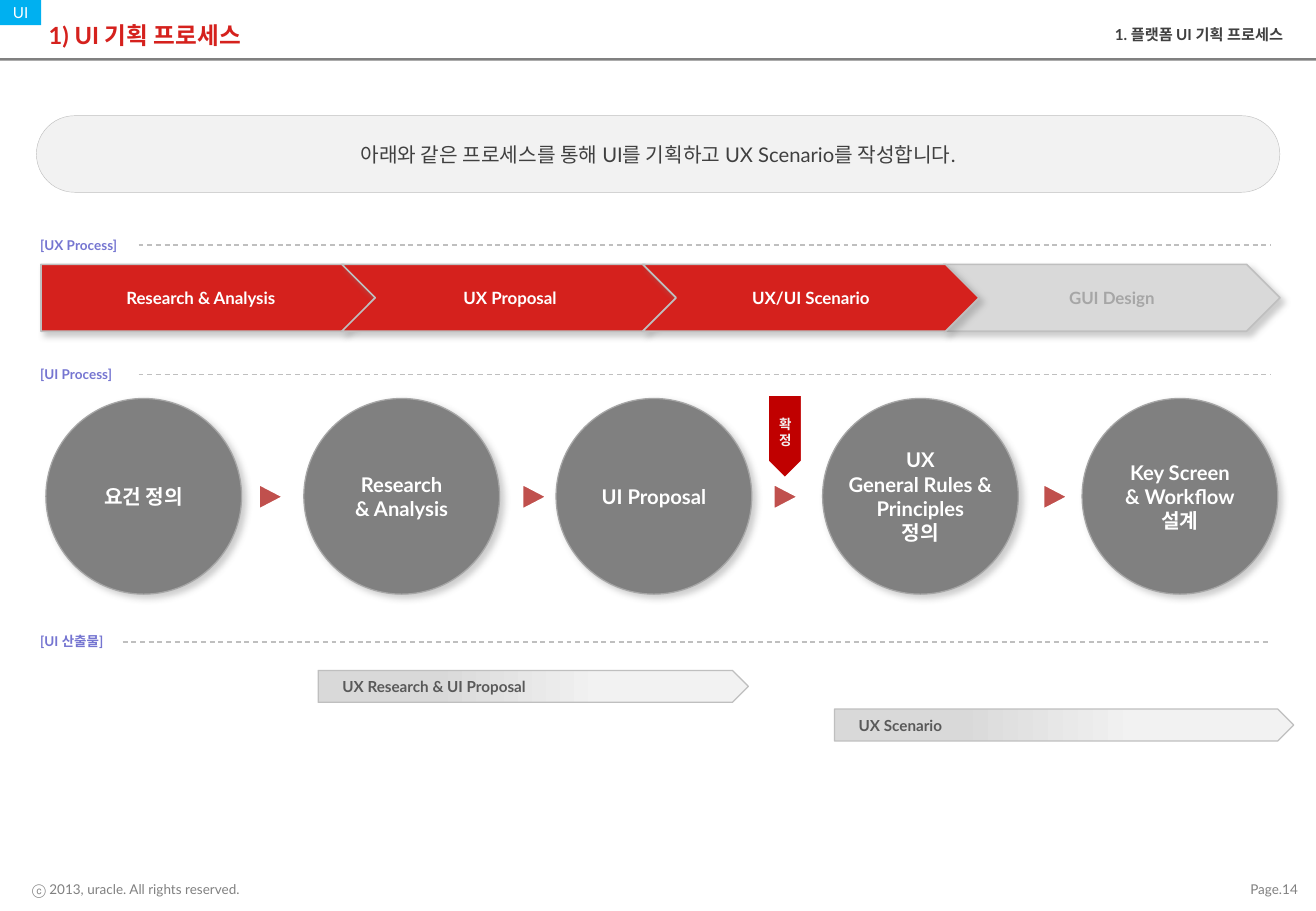
from pptx import Presentation
from pptx.dml.color import RGBColor
from pptx.enum.dml import MSO_LINE
from pptx.enum.shapes import MSO_CONNECTOR, MSO_SHAPE
from pptx.enum.text import MSO_ANCHOR, PP_ALIGN
from pptx.oxml.ns import qn
from pptx.util import Pt
from lxml import etree

RECTANGLE, PILL = MSO_SHAPE.RECTANGLE, MSO_SHAPE.ROUNDED_RECTANGLE
OVAL, TRIANGLE = MSO_SHAPE.OVAL, MSO_SHAPE.ISOSCELES_TRIANGLE
PENTAGON, CHEVRON = MSO_SHAPE.PENTAGON, MSO_SHAPE.CHEVRON
STRAIGHT, DASH = MSO_CONNECTOR.STRAIGHT, MSO_LINE.DASH
LEFT, CENTER, RIGHT = PP_ALIGN.LEFT, PP_ALIGN.CENTER, PP_ALIGN.RIGHT
TOP, MIDDLE = MSO_ANCHOR.TOP, MSO_ANCHOR.MIDDLE

FONT = "Lato"
WHITE = RGBColor(0xFF, 0xFF, 0xFF)
PALE = RGBColor(0xF2, 0xF2, 0xF2)
LIGHT = RGBColor(0xD9, 0xD9, 0xD9)
SILVER = RGBColor(0xBF, 0xBF, 0xBF)
MUTED = RGBColor(0xA6, 0xA6, 0xA6)
GRAY = RGBColor(0x80, 0x80, 0x80)
DIM = RGBColor(0x59, 0x59, 0x59)
DARK = RGBColor(0x40, 0x40, 0x40)
RED = RGBColor(0xD5, 0x21, 0x1D)
DEEP_RED = RGBColor(0xC0, 0x00, 0x00)
BRICK = RGBColor(0xC0, 0x50, 0x4D)
BLUE = RGBColor(0x00, 0xB0, 0xF0)
VIOLET = RGBColor(0x75, 0x75, 0xD1)


def write(shape, lines, size, color, bold=True, align=CENTER, anchor=MIDDLE,
          margins=(7.2, 3.6, 7.2, 3.6), wrap=True):
    """Fill a shape with one paragraph for each line."""
    frame = shape.text_frame
    frame.word_wrap = wrap
    frame.vertical_anchor = anchor
    (frame.margin_left, frame.margin_top,
     frame.margin_right, frame.margin_bottom) = map(Pt, margins)
    for index, line in enumerate(lines):
        para = frame.add_paragraph() if index else frame.paragraphs[0]
        para.alignment = align
        span = para.add_run()
        span.text = line
        span.font.name = FONT
        span.font.size = Pt(size)
        span.font.bold = bold
        span.font.color.rgb = color


def add_text(page, box, line, size, color, **style):
    write(page.shapes.add_textbox(*map(Pt, box)), [line], size, color, **style)


def add_figure(page, kind, box, fill=None, line=None, width=0.75):
    figure = page.shapes.add_shape(kind, *map(Pt, box))
    figure.shadow.inherit = False
    if fill is not None:
        figure.fill.solid()
        figure.fill.fore_color.rgb = fill
    if line is None:
        figure.line.fill.background()
    else:
        figure.line.color.rgb = line
        figure.line.width = Pt(width)
    return figure


def cast_shadow(figure):
    effects = figure._element.spPr.find(qn("a:effectLst"))
    shadow = etree.SubElement(effects, qn("a:outerShdw"), blurRad=str(Pt(4)),
                              dist=str(Pt(3)), dir="2700000", algn="tl", rotWithShape="0")
    color = etree.SubElement(shadow, qn("a:srgbClr"), val=str(GRAY))
    etree.SubElement(color, qn("a:alpha"), val="40000")


def add_header(page, box):
    left, top, width, height = box
    add_figure(page, RECTANGLE, (left, top + height - 1.5, width, 1.5), GRAY)
    badge = add_figure(page, RECTANGLE, (left, top, 24.5, 15), BLUE)
    write(badge, ["UI"], 9, WHITE, bold=False, margins=(0, 0, 0, 0), wrap=False)
    title = page.shapes.title
    title.left, title.top = Pt(left + 21.6), Pt(top + 5.8)
    title.width, title.height = Pt(width - 36), Pt(29.5)
    write(title, ["1) UI 기획 프로세스"], 14, RED, align=LEFT)
    add_text(page, (left + width - 284.5, top + 11.5, 272, 20),
             "1. 플랫폼 UI 기획 프로세스", 9, DARK, align=RIGHT, anchor=TOP)


def add_footer(page, box):
    left, top, width, height = box
    add_text(page, (left + 12, top, 160, height),
             "ⓒ 2013, uracle. All rights reserved.", 8, GRAY, bold=False, align=LEFT)
    add_text(page, (left + width - 63.6, top, 60, height), "Page.14", 8, GRAY,
             bold=False, align=RIGHT)


def add_summary(page, box):
    pill = add_figure(page, PILL, box, PALE, SILVER, 0.25)
    pill.adjustments[0] = 0.5
    write(pill, ["아래와 같은 프로세스를 통해 UI를 기획하고 UX Scenario를 작성합니다."],
          12, DARK, bold=False)


def add_section(page, box, label, label_width, rule_offset):
    """Section label followed by a dashed rule."""
    left, top, width, height = box
    add_text(page, (left, top, label_width, height), label, 8, VIOLET, align=LEFT,
             anchor=TOP, margins=(0, 3.6, 7.2, 3.6))
    middle = Pt(top + height / 2)
    rule = page.shapes.add_connector(STRAIGHT, Pt(left + rule_offset), middle,
                                     Pt(left + width), middle)
    rule.line.color.rgb = SILVER
    rule.line.width = Pt(0.75)
    rule.line.dash_style = DASH
    etree.SubElement(rule._element.spPr, qn("a:effectLst"))


def add_ux_process(page, box):
    left, top, width, height = box
    step_width = 199.4
    pitch = (width - step_width) / 3
    steps = [  # the last step lies beneath its neighbour
        (0, PENTAGON, "Research & Analysis", RED, WHITE),
        (3, CHEVRON, "GUI Design", LIGHT, MUTED),
        (1, CHEVRON, "UX Proposal", RED, WHITE),
        (2, CHEVRON, "UX/UI Scenario", RED, WHITE),
    ]
    for slot, kind, name, fill, ink in steps:
        step = add_figure(page, kind, (left + slot * pitch, top, step_width, height),
                          fill, SILVER, 1)
        cast_shadow(step)
        write(step, [name], 10, ink, wrap=False)


def add_ui_process(page, box):
    left, top, width, height = box
    stages = [
        (0, ["요건 정의"]),
        (152.9, ["Research", "& Analysis"]),
        (302.4, ["UI Proposal"]),
        (460.4, ["UX", "General Rules &", "Principles", "정의"]),
        (width - height, ["Key Screen", "& Workflow", "설계"]),
    ]
    for offset in (125.4, 281.6, 430.6, 590.4):
        arrow = add_figure(page, TRIANGLE,
                           (left + offset, top + height / 2 - 7.6, 16.5, 15.8),
                           BRICK, WHITE, 2)
        arrow.rotation = 90
    for offset, lines in stages:
        stage = add_figure(page, OVAL, (left + offset, top, height, height), GRAY, MUTED)
        cast_shadow(stage)
        write(stage, lines, 12, WHITE, wrap=False)
    flag = add_figure(page, PENTAGON, (left + 412.8, top + 12.2, 50.4, 20.9),
                      DEEP_RED, WHITE, 2)
    flag.rotation = 90
    write(flag, ["확정"], 8, PALE)
    flag.text_frame._txBody.bodyPr.set("vert", "vert270")


def add_deliverable(page, box, name):
    bar = add_figure(page, PENTAGON, box, line=SILVER)
    bar.fill.gradient()
    bar.fill.gradient_angle = 0
    for stop, position, color in zip(bar.fill.gradient_stops, (0.27, 0.66), (LIGHT, PALE)):
        stop.position = position
        stop.color.rgb = color
    write(bar, [name], 9, DIM, align=LEFT, margins=(14.4, 3.6, 7.2, 3.6))


def main():
    deck = Presentation()
    deck.slide_width, deck.slide_height = Pt(780), Pt(540)
    page = deck.slides.add_slide(deck.slide_layouts[5])
    add_header(page, (0, 0, 780, 36))
    add_footer(page, (0, 519, 780, 16))
    add_summary(page, (21.6, 68.6, 737, 45.4))
    add_section(page, (23.8, 136.8, 729.4, 17), "[UX Process]", 55.4, 58.3)
    add_ux_process(page, (24.3, 156.7, 734.4, 39.6))
    add_section(page, (23.8, 213.3, 729.4, 17), "[UI Process]", 52.6, 58.3)
    add_ui_process(page, (27.2, 236.2, 730.2, 116))
    add_section(page, (23.8, 372, 729.4, 17), "[UI 산출물]", 48.2, 48.9)
    add_deliverable(page, (188.6, 397.4, 255, 18.9), "UX Research & UI Proposal")
    add_deliverable(page, (494.6, 420.3, 272.2, 18.9), "UX Scenario")
    deck.save("out.pptx")


if __name__ == "__main__":
    main()
